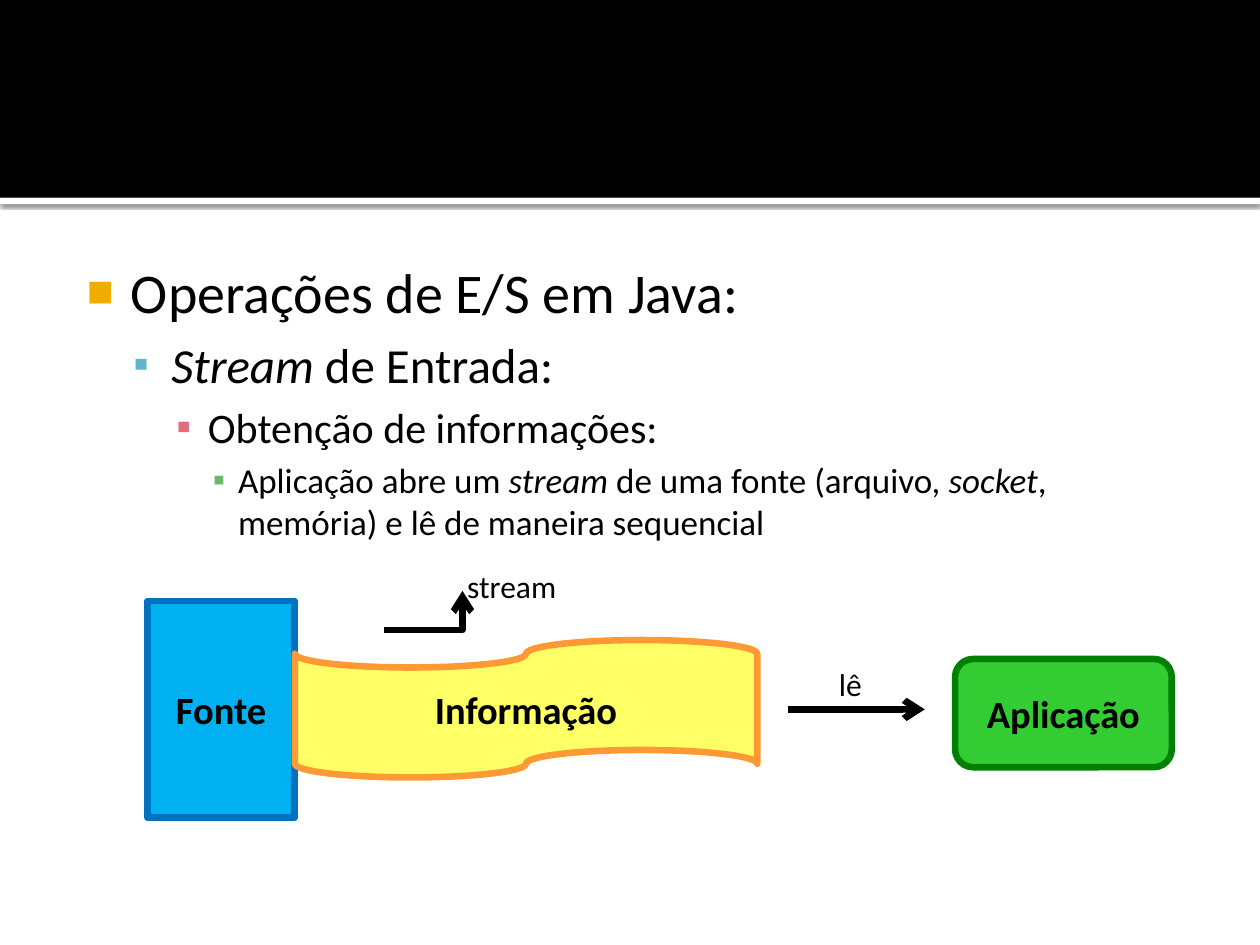
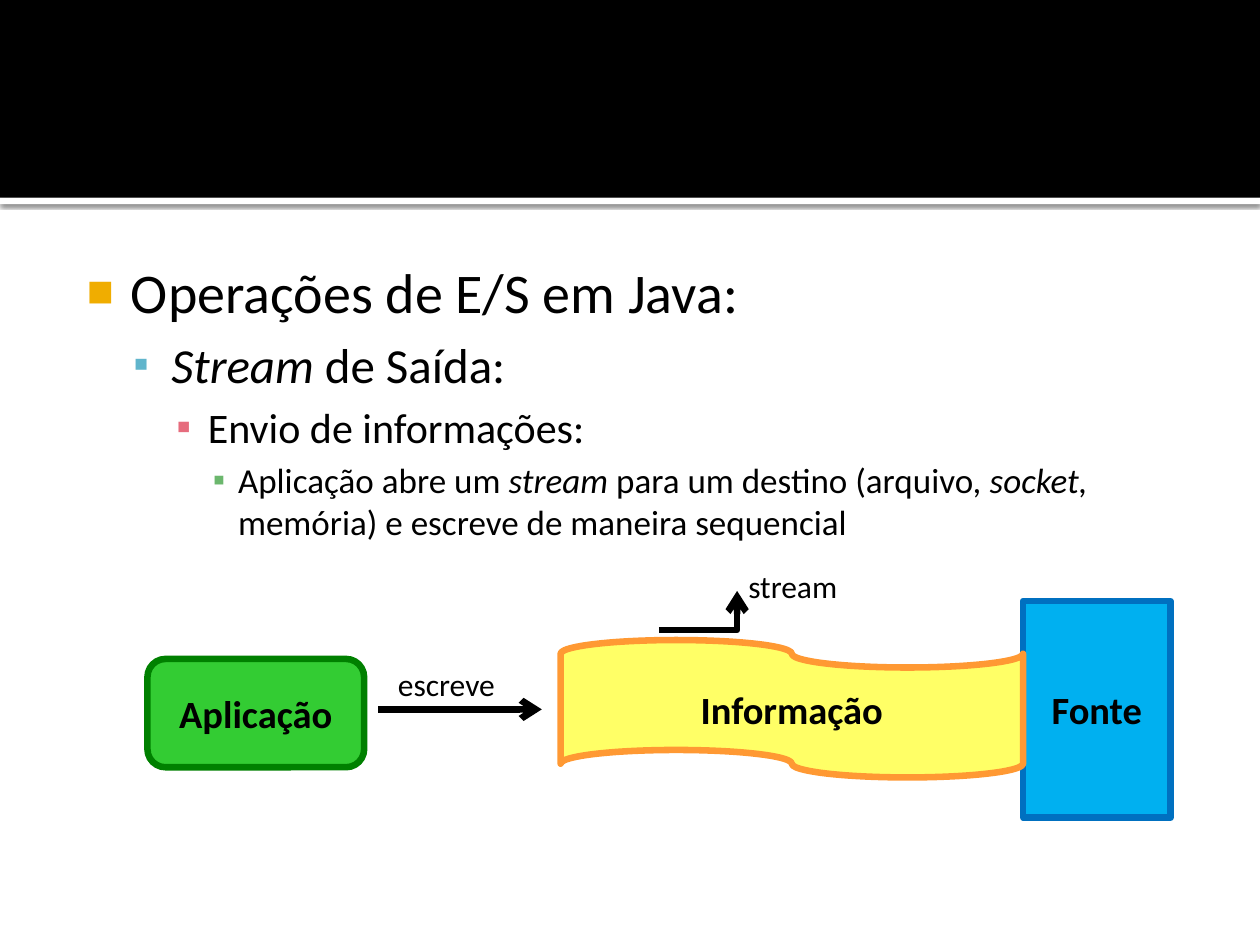
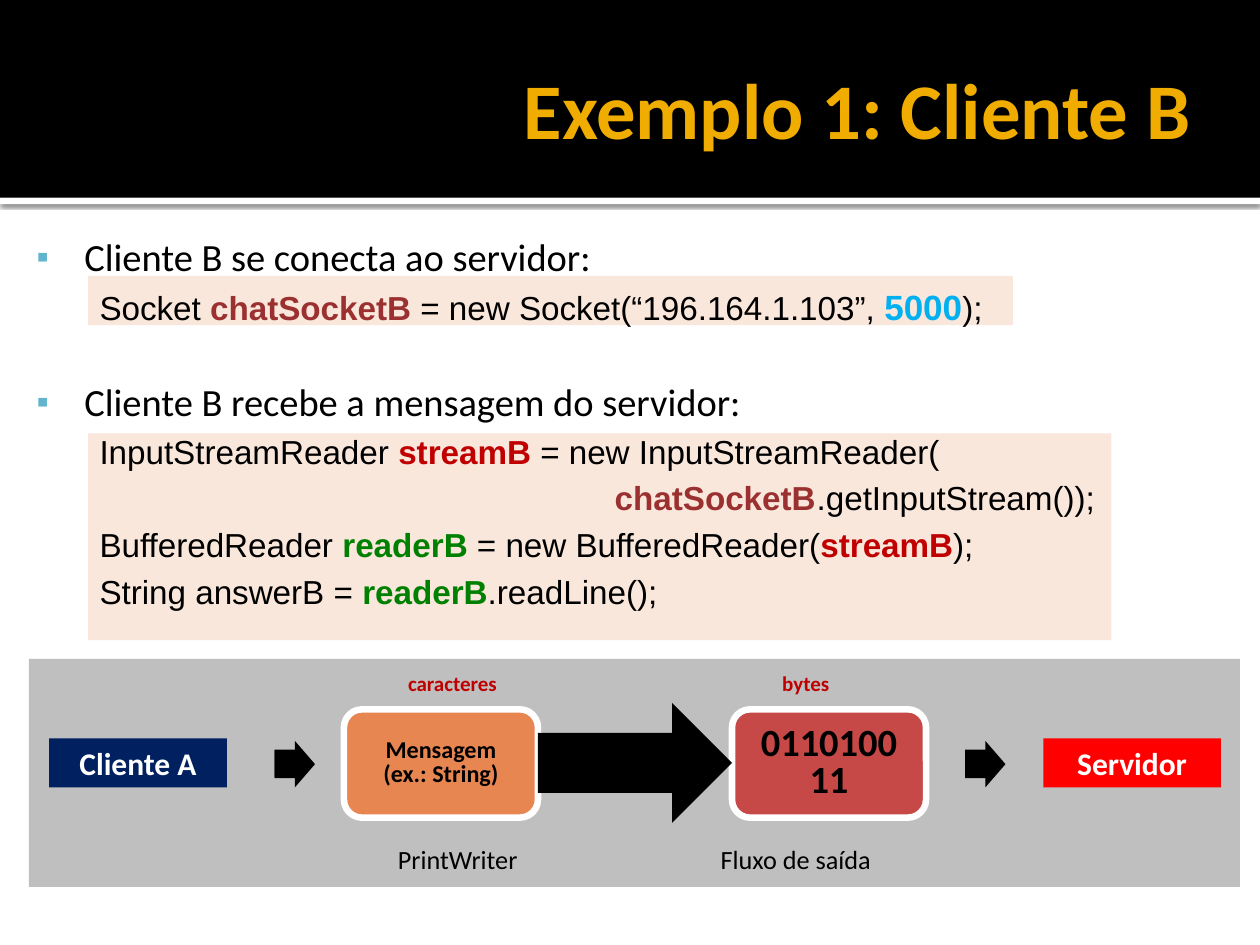
from lxml import etree
from pptx import Presentation
from pptx.dml.color import RGBColor
from pptx.enum import shapes, text
from pptx.oxml import ns
from pptx.util import Inches, Pt

HUE = {
    "black": "000000", "white": "FFFFFF", "gold": "F0AD00", "teal": "60B5CC",
    "pink": "E66C7D", "leaf": "6BB76D", "sky": "00B0F0", "blue": "0070C0",
    "lemon": "FFFF66", "amber": "FF9933", "lime": "33CC33", "green": "008000",
    "gray": "BFBFBF", "cream": "FAE7DC", "wine": "9A3130", "red": "C00000",
    "navy": "002060", "flame": "FF0000", "coral": "E88651", "brick": "C64847",
}
KIND = shapes.MSO_SHAPE
MID = text.PP_ALIGN.CENTER

# Paragraph styles: left and hang in inches, sizes and gaps in points
STYLE = {
    "one": dict(size=32, left=0.48, hang=0.35, mark=("■", "gold", 80)),
    "two": dict(size=28, level=1, left=0.8, hang=0.3, before=5.6, mark=("▪", "teal", 90)),
    "three": dict(size=24, level=2, left=1.09, hang=0.25, before=4.8, mark=("▪", "pink", 100)),
    "four": dict(size=20, level=3, left=1.33, hang=0.2, before=4, mark=("▪", "leaf", 100)),
    "step": dict(size=22, level=1, left=0.38, hang=0.38, mark=("▪", "teal", 90)),
    "code": dict(size=19, left=0.8, hang=0.3, before=3.8, font="Arial"),
    "title": dict(size=45, hue="gold", bold=True, align=text.PP_ALIGN.RIGHT),
    "node": dict(size=22, bold=True, align=MID),
    "side": dict(size=18, bold=True, hue="white", align=MID),
    "data": dict(size=22, bold=True, align=MID, line=0.8),
    "note": dict(size=13.8, bold=True, align=MID, line=0.8),
    "tag": dict(size=18),
    "role": dict(size=15),
    "unit": dict(size=12, bold=True, hue="red"),
}
STYLE["next"] = dict(STYLE["step"], before=28.8)

BODY = dict(margin_left=0.06, margin_top=0.1)
CARD = dict(margin_left=0.12, margin_top=0.08, margin_right=0.12, margin_bottom=0.08)


def write(frame, paras):
    """Fill a text frame; a run is a string or (string, "i" or colour[, size])."""
    for n, (name, runs) in enumerate(paras):
        st = STYLE[name]
        p = frame.paragraphs[0] if n == 0 else frame.add_paragraph()
        form = dict(level=st.get("level", 0), alignment=st.get("align"),
                    line_spacing=st.get("line"))
        if n and "before" in st:
            form["space_before"] = Pt(st["before"])
        for key, val in form.items():
            setattr(p, key, val)
        if "left" in st:
            ppr = p._p.get_or_add_pPr()
            ppr.set("marL", str(Inches(st["left"])))
            ppr.set("indent", str(-Inches(st["hang"])))
            if "mark" in st:
                char, hue, pct = st["mark"]
                clr = etree.SubElement(ppr, ns.qn("a:buClr"))
                etree.SubElement(clr, ns.qn("a:srgbClr"), val=HUE[hue])
                etree.SubElement(ppr, ns.qn("a:buSzPct"), val=str(pct * 1000))
                etree.SubElement(ppr, ns.qn("a:buFont"), typeface="Arial")
                etree.SubElement(ppr, ns.qn("a:buChar"), char=char)
            else:
                etree.SubElement(ppr, ns.qn("a:buNone"))
        for run in runs:
            word, mark, size = ((run,) if isinstance(run, str) else run + (None,) * 2 + ())[:3] \
                if not isinstance(run, str) else (run, None, None)
            r = p.add_run()
            r.text = word
            tint = mark if mark in HUE else None
            form = dict(name=st.get("font", "Calibri"), size=Pt(size or st["size"]),
                        bold=bool(tint or st.get("bold")), italic=mark == "i")
            for key, val in form.items():
                setattr(r.font, key, val)
            r.font.color.rgb = RGBColor.from_string(HUE[tint or st.get("hue", "black")])


def add(page, kind, box, fill=None, line=None, paras=(), pad=None, wrap=True):
    """Add a preset shape, or a text box when kind is None."""
    place = [Inches(v) for v in box]
    if kind is None:
        item = page.shapes.add_textbox(*place)
    else:
        item = page.shapes.add_shape(kind, *place)
        item.shadow.inherit = False
        item.fill.solid()
        item.fill.fore_color.rgb = RGBColor.from_string(HUE[fill])
        if line:
            item.line.color.rgb = RGBColor.from_string(HUE[line])
            item.line.width = Pt(3.75)
        else:
            item.line.fill.background()
        item.text_frame.vertical_anchor = text.MSO_ANCHOR.MIDDLE
    frame = item.text_frame
    frame.word_wrap = wrap
    if not wrap:
        frame.auto_size = text.MSO_AUTO_SIZE.SHAPE_TO_FIT_TEXT
    for key, val in (pad or {}).items():
        setattr(frame, key, Inches(val))
    write(frame, paras)
    return item


deck = Presentation()
deck.slide_width, deck.slide_height = Inches(10), Inches(7.5)

# Shared header: white strip with a soft shadow under a black band
pages = []
for n in range(3):
    page = deck.slides.add_slide(deck.slide_layouts[6])
    strip = add(page, KIND.RECTANGLE, (0, 1.57, 10, 0.05), "white")
    glow = etree.SubElement(strip._element.spPr.find(ns.qn("a:effectLst")),
                            ns.qn("a:outerShdw"), blurRad=str(Pt(2.5)),
                            dist=str(Pt(0.8)), dir="5400000", rotWithShape="0")
    clr = etree.SubElement(glow, ns.qn("a:srgbClr"), val=HUE["black"])
    etree.SubElement(clr, ns.qn("a:alpha"), val="60000")
    add(page, KIND.RECTANGLE, (0, 0, 10, 1.57), "black")
    pages.append(page)

# Slides 1 and 2: input and output streams
flows = [
    dict(head=" de Entrada:", goal="Obtenção de informações:",
         long=["Aplicação abre um ", ("stream", "i"), " de uma fonte (arquivo, ",
               ("socket", "i"), ", memória) e lê de maneira sequencial"],
         src=1.17, tape=2.34, app=7.58, arrow=(6.25, 7.34), bend=3.05,
         tag=3.61, verb=("lê", 6.56, 0.4), flip=False),
    dict(head=" de Saída:", goal="Envio de informações:",
         long=["Aplicação abre um ", ("stream ", "i"), "para um destino (arquivo, ",
               ("socket, ", "i"), "memória) e escreve de maneira sequencial"],
         src=8.12, tape=4.45, app=1.17, arrow=(3, 4.3), bend=5.23,
         tag=5.84, verb=("escreve", 3.06, 1.08), flip=True),
]
for page, flow in zip(pages, flows):
    add(page, None, (0.5, 1.94, 9, 5.06), pad=BODY, paras=[
        ("one", ["Operações de E/S em Java:"]),
        ("two", [("Stream", "i"), flow["head"]]),
        ("three", [flow["goal"]]),
        ("four", flow["long"])])

    # Source, tape and application
    add(page, KIND.RECTANGLE, (flow["src"], 4.77, 1.17, 1.72), "sky", "blue",
        [("node", ["Fonte"])])
    tape = add(page, KIND.FLOWCHART_PUNCHED_TAPE, (flow["tape"], 5.08, 3.67, 1.09),
               "lemon", "amber", [("node", ["Informação"])])
    if flow["flip"]:
        tape._element.spPr.xfrm.set("flipH", "1")
    add(page, KIND.ROUNDED_RECTANGLE, (flow["app"], 5.23, 1.72, 0.86), "lime", "green",
        [("node", ["Aplicação"])])

    # Arrows
    start, stop = flow["arrow"]
    bend = flow["bend"]
    ways = [(shapes.MSO_CONNECTOR.STRAIGHT, (start, 5.63, stop, 5.63)),
            (shapes.MSO_CONNECTOR.ELBOW, (bend, 5, bend + 0.62, 4.69))]
    for kind, ends in ways:
        link = page.shapes.add_connector(kind, *[Inches(v) for v in ends])
        link.line.color.rgb = RGBColor.from_string(HUE["black"])
        link.line.width = Pt(3.8)
        etree.SubElement(link.line._get_or_add_ln(), ns.qn("a:tailEnd"), type="arrow")
        etree.SubElement(link._element.spPr, ns.qn("a:effectLst"))
        if kind == shapes.MSO_CONNECTOR.ELBOW:
            link._element.spPr.prstGeom.set("prst", "bentConnector2")

    # Labels
    for word, left, wide, top in [("stream", flow["tag"], 1.02, 4.45),
                                  (*flow["verb"], 5.23)]:
        add(page, None, (left, top, wide, 0.4), paras=[("tag", [word])], wrap=False)

# Slide 3: panels, title and code
page = pages[2]
add(page, KIND.RECTANGLE, (0.23, 5.23, 9.61, 1.81), "gray")
add(page, KIND.RECTANGLE, (0.7, 3.44, 8.12, 1.64), "cream")
add(page, KIND.RECTANGLE, (0.7, 2.19, 7.34, 0.39), "cream")
title = add(page, None, (0.5, 0.17, 9, 1.37), pad=dict(margin_right=0.05),
            paras=[("title", ["Exemplo 1: Cliente B"])])
title.text_frame.vertical_anchor = text.MSO_ANCHOR.MIDDLE
add(page, None, (0.23, 1.75, 9.45, 4.95), pad=BODY, paras=[
    ("step", ["Cliente B se conecta ao servidor:"]),
    ("code", ["Socket ", ("chatSocketB", "wine"), " = new Socket(“196.164.1.103”, ",
              ("5000", "sky", 20), ");"]),
    ("next", ["Cliente B recebe a mensagem do servidor:"]),
    ("code", ["InputStreamReader ", ("streamB", "red"), " = new InputStreamReader("]),
    ("code", [(" " * 56 + "chatSocketB", "wine"), ".getInputStream());"]),
    ("code", ["BufferedReader ", ("readerB", "green"), " = new BufferedReader(",
              ("streamB", "red"), ");"]),
    ("code", ["String answerB = ", ("readerB", "green"), ".readLine();"])])

# Ends of the message path
for word, left, fill in [("Cliente A", 0.39, "navy"), ("Servidor", 8.28, "flame")]:
    add(page, KIND.RECTANGLE, (left, 5.86, 1.41, 0.39), fill, paras=[("side", [word])])

# Message turned into bytes
cards = [(2.73, "coral", [("note", ["Mensagem"]), ("note", ["(ex.: String)"])]),
         (5.81, "brick", [("data", ["011010011"])])]
for left, fill, paras in cards:
    add(page, KIND.ROUNDED_RECTANGLE, (left, 5.63, 1.54, 0.86), fill, "white", paras, CARD)
add(page, KIND.RIGHT_ARROW, (4.27, 5.58, 1.54, 0.95), "black")

# Small arrows
for left in (7.66, 2.18):
    tip = add(page, KIND.RIGHT_ARROW, (left, 5.88, 0.32, 0.37), "black")
    tip.adjustments[0] = 0.6
    add(page, KIND.RECTANGLE, (left, 5.95, 0.22, 0.22), "black")

# Captions
for name, word, left, top, wide, high in [
        ("role", "PrintWriter", 3.06, 6.64, 1.28, 0.35),
        ("role", "Fluxo de saída", 5.62, 6.64, 1.59, 0.35),
        ("unit", "caracteres", 3.14, 5.27, 1.07, 0.3),
        ("unit", "bytes", 6.11, 5.27, 0.65, 0.3)]:
    add(page, None, (left, top, wide, high), paras=[(name, [word])], wrap=False)

deck.save("out.pptx")
